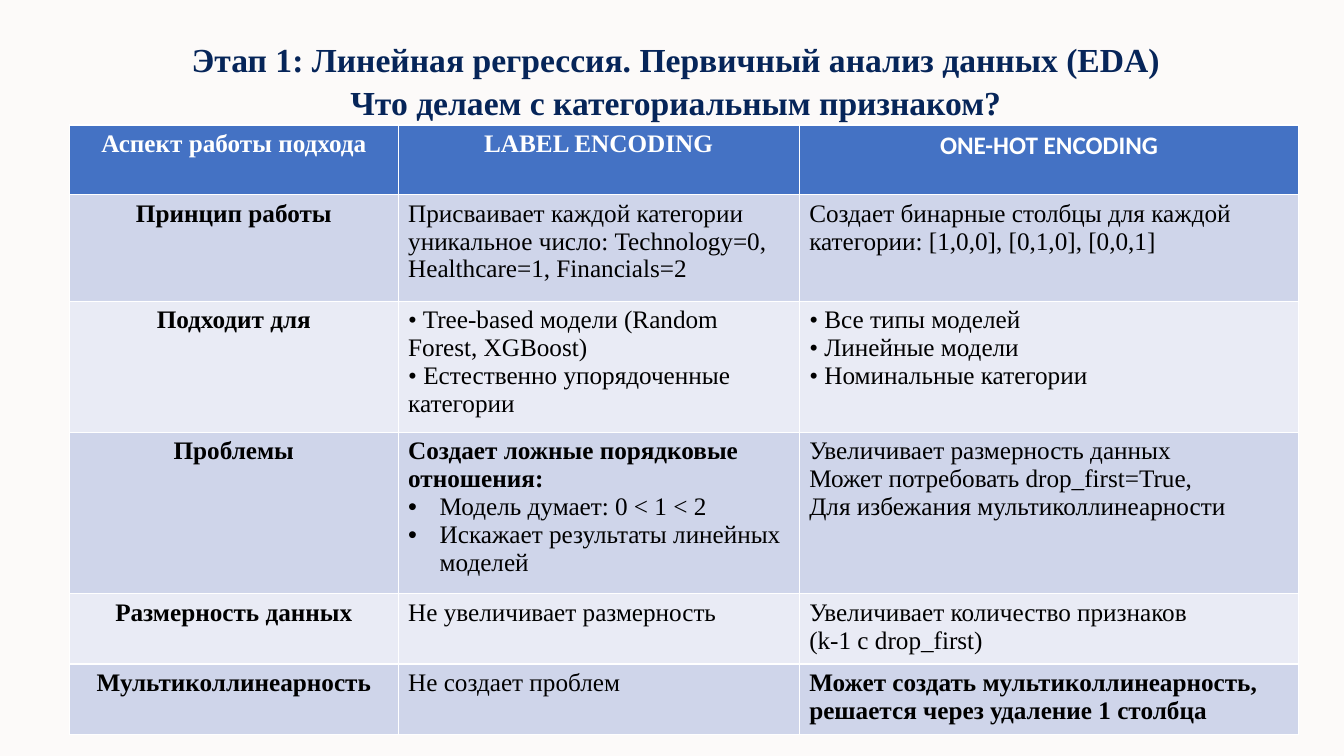
from lxml.etree import SubElement
from pptx import Presentation
from pptx.dml.color import RGBColor
from pptx.enum.text import MSO_ANCHOR, PP_ALIGN
from pptx.oxml.ns import qn
from pptx.util import Pt

COLORS = {"back": "FCFAF9", "title": "062559", "head": "4472C4",
          "odd": "CFD5EA", "even": "E9EBF5", "white": "FFFFFF", "black": "000000"}
COLS = [234.7, 286.5, 356.9]
ROWS = [49.7, 76.3, 93.6, 115.2, 50.2, 50.2]

TITLE = ["Этап 1: Линейная регрессия. Первичный анализ данных (EDA)",
         "Что делаем с категориальным признаком?"]

# Each cell is a list of paragraphs: "*" marks bold, "-" marks a bullet, \v breaks a line.
CELLS = [
    [["*Аспект работы подхода"], ["*LABEL ENCODING"], ["*ONE-HOT ENCODING"]],
    [["*Принцип работы"],
     ["Присваивает каждой категории уникальное число: Technology=0,",
      "Healthcare=1, Financials=2"],
     ["Создает бинарные столбцы для каждой категории: [1,0,0], [0,1,0], [0,0,1]"]],
    [["*Подходит для"],
     ["• Tree-based модели (Random Forest, XGBoost)\v• Естественно упорядоченные категории"],
     ["• Все типы моделей\v• Линейные модели\v• Номинальные категории"]],
    [["*Проблемы"],
     ["*Создает ложные порядковые отношения:",
      "-Модель думает: 0 < 1 < 2",
      "-Искажает результаты линейных моделей"],
     ["Увеличивает размерность данных\vМожет потребовать drop_first=True,",
      "Для избежания мультиколлинеарности"]],
    [["*Размерность данных"],
     ["Не увеличивает размерность"],
     ["Увеличивает количество признаков", "(k-1 с drop_first)"]],
    [["*Мультиколлинеарность"],
     ["Не создает проблем"],
     ["*Может создать мультиколлинеарность, решается через удаление 1 столбца"]],
]


def color(name):
    return RGBColor.from_string(COLORS[name])


class Deck:
    def __init__(self, font="Times New Roman"):
        self.font = font
        self.prs = Presentation()
        self.prs.slide_width, self.prs.slide_height = Pt(960), Pt(540)
        self.slide = self.prs.slides.add_slide(self.prs.slide_layouts[5])
        fill = self.slide.background.fill
        fill.solid()
        fill.fore_color.rgb = color("back")

    def text(self, frame, lines, size, tint, center, face=None):
        """Fill a text frame, reading the bold and bullet marks of each line."""
        for i, line in enumerate(lines):
            par = frame.add_paragraph() if i else frame.paragraphs[0]
            par.text = line.lstrip("*-")
            par.alignment = PP_ALIGN.CENTER if center else PP_ALIGN.LEFT
            if line.startswith("-"):
                self.bullet(par)
            font = par.font
            font.name, font.size = face or self.font, Pt(size)
            font.bold = line.startswith("*")
            font.color.rgb = color(tint)

    def bullet(self, par):
        props = par._p.get_or_add_pPr()
        props.set("marL", str(Pt(22.5)))
        props.set("indent", str(-Pt(22.5)))
        SubElement(props, qn("a:buFont"), typeface="Arial")
        SubElement(props, qn("a:buChar"), char="•")

    def title(self, lines, left, top, width, height):
        box = self.slide.shapes.title
        box.left, box.top, box.width, box.height = map(Pt, (left, top, width, height))
        frame = box.text_frame
        frame.vertical_anchor = MSO_ANCHOR.MIDDLE
        self.text(frame, ["*" + line for line in lines], 24, "title", True)
        for par in frame.paragraphs:
            par.line_spacing = 1.07

    def table(self, cells, left, top, cols, rows):
        grid = self.slide.shapes.add_table(
            len(rows), len(cols), Pt(left), Pt(top), Pt(sum(cols)), Pt(sum(rows))).table
        for col, width in zip(grid.columns, cols):
            col.width = Pt(width)
        for r, height in enumerate(rows):
            grid.rows[r].height = Pt(height)
            shade = "head" if r == 0 else "odd" if r % 2 else "even"
            for c, lines in enumerate(cells[r]):
                cell = grid.cell(r, c)
                cell.fill.solid()
                cell.fill.fore_color.rgb = color(shade)
                self.text(cell.text_frame, lines, 18,
                          "black" if r else "white", r == 0 or c == 0,
                          "Calibri" if (r, c) == (0, 2) else None)


def main():
    deck = Deck()
    deck.title(TITLE, 72.7, 23.8, 820, 65.5)
    deck.table(CELLS, 49.7, 89.3, COLS, ROWS)
    deck.prs.save("out.pptx")


if __name__ == "__main__":
    main()
